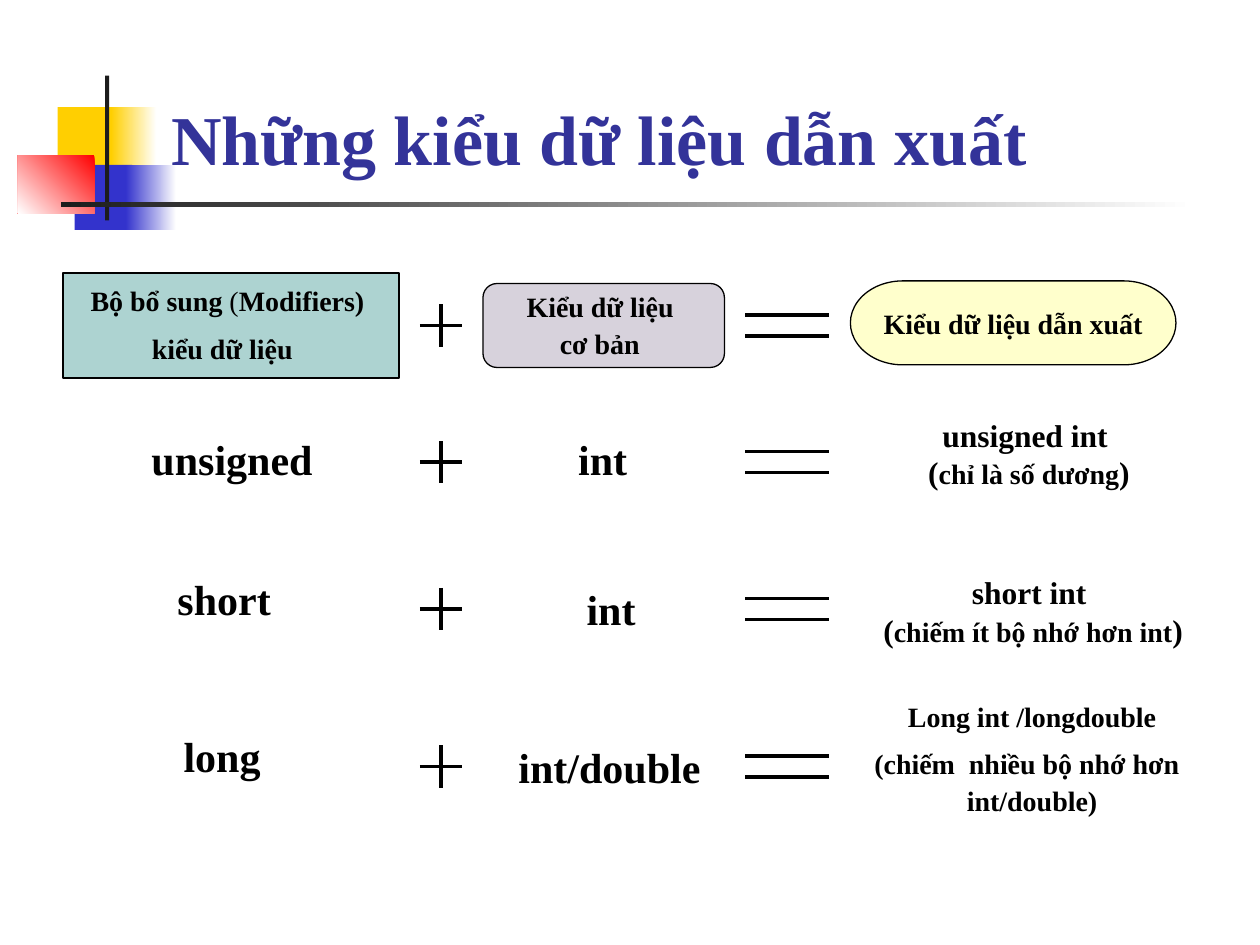
from dataclasses import dataclass

from pptx import Presentation
from pptx.dml.color import RGBColor
from pptx.enum.shapes import MSO_CONNECTOR, MSO_SHAPE as Shape
from pptx.enum.text import MSO_ANCHOR as Anchor, MSO_AUTO_SIZE as AutoSize, PP_ALIGN as Align
from pptx.oxml.ns import qn
from pptx.util import Inches, Pt

CELL = Inches(1) / 12  # the page is a grid of 120 columns by 90 rows


@dataclass(frozen=True)
class Theme:
    font: str = "Times New Roman"
    title: str = "333399"
    ink: str = "000000"
    paper: str = "FFFFFF"
    yellow: str = "FFCF01"
    blue: str = "3333CC"
    red: str = "FF0000"
    rule: str = "1C1C1C"
    modifier: str = "ADD3D1"
    basic: str = "D7D2DC"
    derived: str = "FFFFCC"
    title_size: int = 40
    large: int = 24
    medium: int = 18
    small: int = 16
    outline: float = 0.75
    stroke: float = 2.25


THEME = Theme()
L, M, S = THEME.large, THEME.medium, THEME.small


def rgb(value):
    return RGBColor.from_string(value)


def place(origin, box):
    """Turn a box in cells, relative to an origin, into lengths on the page."""
    left, top, width, height = box
    cells = (origin[0] + left, origin[1] + top, width, height)
    return [round(cell * CELL) for cell in cells]


def set_all(target, values):
    for name, value in values.items():
        setattr(target, name, value)


def add_span(para, text, size, bold=True, color=THEME.ink):
    span = para.add_run()
    span.text = text
    set_all(span.font, {"name": THEME.font, "size": Pt(size), "bold": bold})
    span.font.color.rgb = rgb(color)


def write(frame, lines, anchor):
    """Fill a frame with centred lines, each a list of (text, size[, bold])."""
    set_all(frame, {"word_wrap": False, "auto_size": AutoSize.NONE,
                    "vertical_anchor": anchor})
    for index, spans in enumerate(lines):
        para = frame.add_paragraph() if index else frame.paragraphs[0]
        para.alignment = Align.CENTER
        for span in spans:
            add_span(para, *span)


def add_block(page, origin, box, color, fade_angle=None):
    block = page.shapes.add_shape(Shape.RECTANGLE, *place(origin, box))
    block.shadow.inherit = False
    block.line.fill.background()
    if fade_angle is None:
        block.fill.solid()
        block.fill.fore_color.rgb = rgb(color)
        return
    block.fill.gradient()
    block.fill.gradient_angle = fade_angle
    for stop, shade in zip(block.fill.gradient_stops, (color, THEME.paper)):
        stop.color.rgb = rgb(shade)


def add_header(page, origin, text):
    for block in (
        ((5.5, 3, 5.8, 6.2), THEME.yellow),
        ((10.6, 3, 4.3, 6.2), THEME.yellow, 0),
        ((7.1, 8.5, 5.5, 6.2), THEME.blue),
        ((12, 8.5, 4.8, 6.2), THEME.blue, 0),
        ((1.7, 7.6, 7.3, 5.5), THEME.red, 225),
        ((10, 0, 0.4, 13.8), THEME.rule),
        ((5.8, 12, 108, 0.5), THEME.rule, 0),
    ):
        add_block(page, origin, *block)

    title = page.shapes.title
    left, top, width, height = place(origin, (15.1, -0.2, 100.9, 10.7))
    set_all(title, {"left": left, "top": top, "width": width, "height": height})
    set_all(title.text_frame, {"vertical_anchor": Anchor.BOTTOM, "word_wrap": True,
                               "auto_size": AutoSize.NONE})
    para = title.text_frame.paragraphs[0]
    para.alignment = Align.LEFT
    add_span(para, text, THEME.title_size, color=THEME.title)
    page.shapes._spTree.append(title._element)  # in front of the blocks


def add_stroke(page, origin, start, end):
    points = [*place(origin, (*start, 0, 0))[:2], *place(origin, (*end, 0, 0))[:2]]
    stroke = page.shapes.add_connector(MSO_CONNECTOR.STRAIGHT, *points)
    stroke.line.width = Pt(THEME.stroke)
    stroke.line.color.rgb = rgb(THEME.ink)
    properties = stroke._element.spPr
    properties.append(properties.makeelement(qn("a:effectLst"), {}))


def add_operators(page, middle):
    """Draw the plus and equals signs of a row around its middle line."""
    origin = (0, middle)
    add_stroke(page, origin, (42, -2), (42, 2))
    add_stroke(page, origin, (40, 0), (44, 0))
    for offset in (-1, 1):
        add_stroke(page, origin, (71, offset), (79, offset))


def add_heading_row(page, middle, cells):
    add_operators(page, middle)
    for kind, color, box, lines in cells:
        shape = page.shapes.add_shape(kind, *place((0, middle), box))
        shape.shadow.inherit = False
        shape.fill.solid()
        shape.fill.fore_color.rgb = rgb(color)
        shape.line.color.rgb = rgb(THEME.ink)
        shape.line.width = Pt(THEME.outline)
        write(shape.text_frame, lines, Anchor.MIDDLE)


def add_example_row(page, middle, cells):
    add_operators(page, middle)
    for box, lines in cells:
        label = page.shapes.add_textbox(*place((0, middle), box))
        write(label.text_frame, lines, Anchor.TOP)


HEADINGS = (
    (Shape.RECTANGLE, THEME.modifier, (6, -5, 32, 10),
     [[("Bộ bổ sung", S), (" (", S, False), ("Modifiers) ", S)],
      [("kiểu dữ liệu", S), (" ", L, False), (" ", S)]]),
    (Shape.ROUNDED_RECTANGLE, THEME.basic, (46, -4, 23, 8),
     [[("Kiểu dữ liệu ", S)], [("cơ bản", S), (" ", M)]]),
    (Shape.FLOWCHART_TERMINATOR, THEME.derived, (81, -4.25, 31, 8),
     [[("Kiểu dữ liệu dẫn xuất", S)]]),
)

# middle row of each example, then its modifier, basic type and derived type
EXAMPLES = {
    44: (((13.2, -3.3, 17.8, 6), [[("unsigned", L)]]),
         ((53.9, -3.3, 8, 6), [[("int ", L)]]),
         ((83, -5, 30, 8.4),
          [[("unsigned int ", M)], [("(", M), ("chỉ là số dương", S), (")", M)]])),
    58: (((15.7, -4, 11.3, 6), [[("short", L)]]),
         ((53.4, -3, 9.6, 6), [[("int", L)]]),
         ((83, -4, 30.8, 8.4),
          [[("short int ", M)], [("(", M), ("chiếm ít bộ nhớ hơn int", S), (")", M)]])),
    73: (((16.3, -4, 9.7, 6), [[("long", L)]]),
         ((48.2, -3, 19.7, 6), [[("int/double", L)]]),
         ((82.1, -7, 32.4, 12.5),
          [[("Long int /longdouble", S)],
           [("(chiếm  nhiều bộ nhớ hơn", S), (" ", L, False)],
           [("int/double)", S)]])),
}


def main():
    deck = Presentation()
    set_all(deck, {"slide_width": Inches(10), "slide_height": Inches(7.5)})
    page = deck.slides.add_slide(deck.slide_layouts.get_by_name("Title Only"))
    add_header(page, (0, 7.2), "Những kiểu dữ liệu dẫn xuất")
    add_heading_row(page, 31, HEADINGS)
    for middle, cells in EXAMPLES.items():
        add_example_row(page, middle, cells)
    deck.save("out.pptx")


if __name__ == "__main__":
    main()
